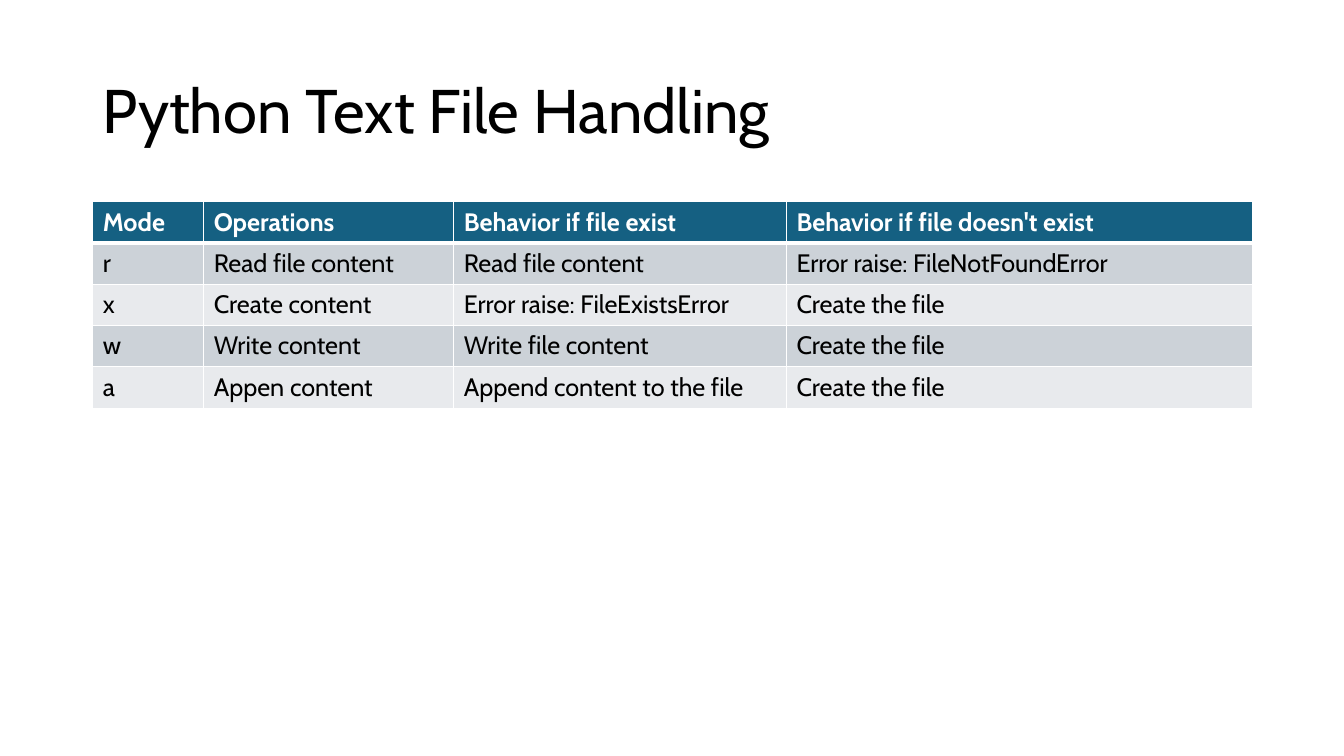
from lxml.etree import SubElement
from pptx import Presentation
from pptx.dml.color import RGBColor
from pptx.enum.text import MSO_ANCHOR, PP_ALIGN
from pptx.oxml.ns import qn
from pptx.util import Inches, Pt

FONT = "Cabin"
BLACK, WHITE = "000000", "FFFFFF"
HEADER_FILL = "156082"
BAND_FILLS = ("CCD2D8", "E8EAED")

LEFT, WIDTH = 0.92, 11.5
COLUMN_WIDTHS = (1.1, 2.48, 3.3, 4.62)
ROW_HEIGHT = 0.41
MODES = (
    ("Mode", "Operations", "Behavior if file exist", "Behavior if file doesn't exist"),
    ("r", "Read file content", "Read file content", "Error raise: FileNotFoundError"),
    ("x", "Create content", "Error raise: FileExistsError", "Create the file"),
    ("w", "Write content", "Write file content", "Create the file"),
    ("a", "Appen content", "Append content to the file", "Create the file"),
)


def color(hex_value):
    return RGBColor.from_string(hex_value)


def format_text(paragraph, size, hex_value, bold=False):
    for run in paragraph.runs:
        run.font.name = FONT
        run.font.size = Pt(size)
        run.font.bold = bold
        run.font.color.rgb = color(hex_value)


def add_title(slide, text):
    title = slide.shapes.title
    title.left, title.top = Inches(LEFT), Inches(0.4)
    title.width, title.height = Inches(WIDTH), Inches(1.45)
    frame = title.text_frame
    frame.text = text
    frame.word_wrap = True
    frame.vertical_anchor = MSO_ANCHOR.MIDDLE
    heading = frame.paragraphs[0]
    heading.alignment = PP_ALIGN.LEFT
    heading.line_spacing = 0.9
    format_text(heading, 44, BLACK)


def set_borders(cell, widths):
    """Draw white cell borders; widths maps side tags to points."""
    properties = cell._tc.get_or_add_tcPr()
    for side, width in widths.items():
        line = SubElement(properties, qn(f"a:{side}"), w=str(Pt(width)))
        fill = SubElement(line, qn("a:solidFill"))
        SubElement(fill, qn("a:srgbClr"), val=WHITE)


def fill_cell(cell, text, row):
    is_header = row == 0
    cell.text = text
    format_text(cell.text_frame.paragraphs[0], 18,
                WHITE if is_header else BLACK, is_header)
    # A thick rule separates the header from the body
    set_borders(cell, {"lnL": 1, "lnR": 1,
                       "lnT": 3 if row == 1 else 1,
                       "lnB": 3 if is_header else 1})
    cell.fill.solid()
    cell.fill.fore_color.rgb = color(
        HEADER_FILL if is_header else BAND_FILLS[(row - 1) % 2])


def add_modes_table(slide):
    modes_table = slide.shapes.add_table(
        len(MODES), len(COLUMN_WIDTHS), Inches(LEFT), Inches(2),
        Inches(WIDTH), Inches(ROW_HEIGHT * len(MODES))).table
    for column, width in zip(modes_table.columns, COLUMN_WIDTHS):
        column.width = Inches(width)
    for row, texts in enumerate(MODES):
        modes_table.rows[row].height = Inches(ROW_HEIGHT)
        for column, text in enumerate(texts):
            fill_cell(modes_table.cell(row, column), text, row)


def main():
    deck = Presentation()
    deck.slide_width, deck.slide_height = Inches(13.33), Inches(7.5)
    slide = deck.slides.add_slide(deck.slide_layouts[5])  # Title Only

    # Heading
    add_title(slide, "Python Text File Handling")
    # File modes
    add_modes_table(slide)

    deck.save("out.pptx")


if __name__ == "__main__":
    main()
